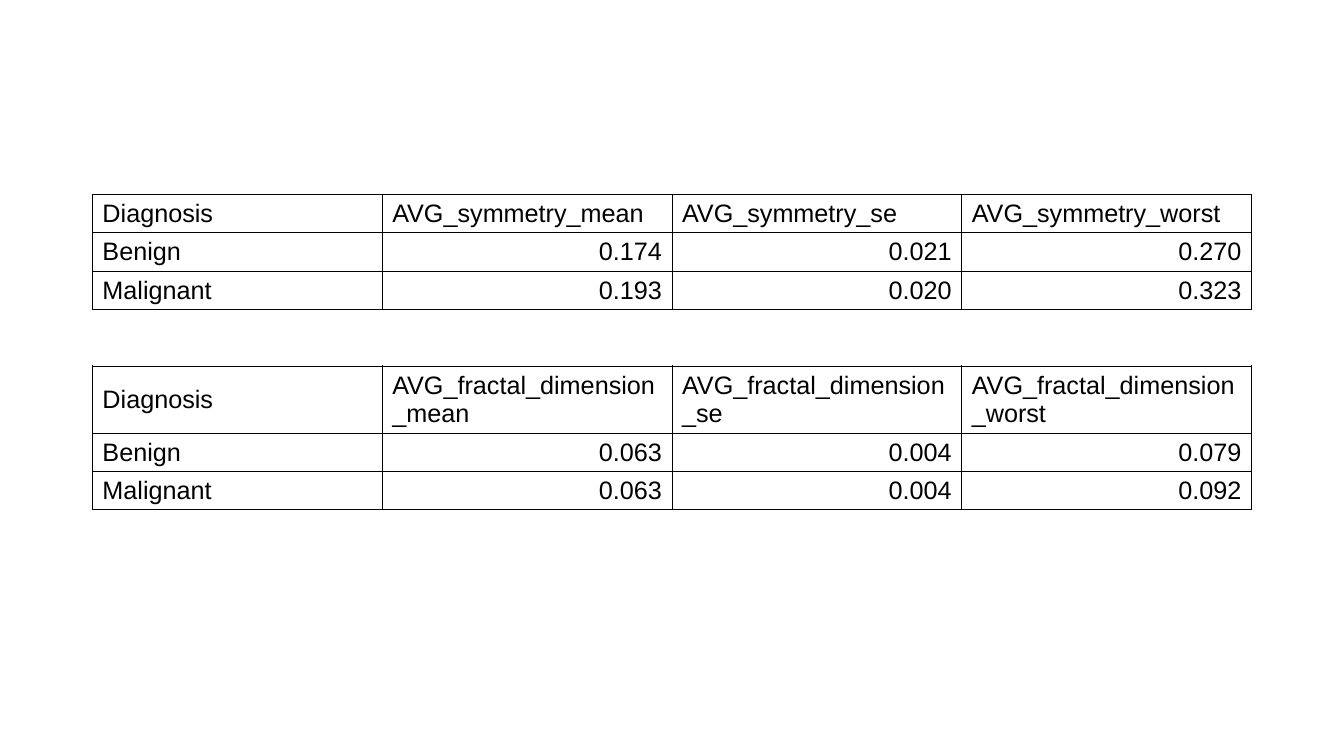
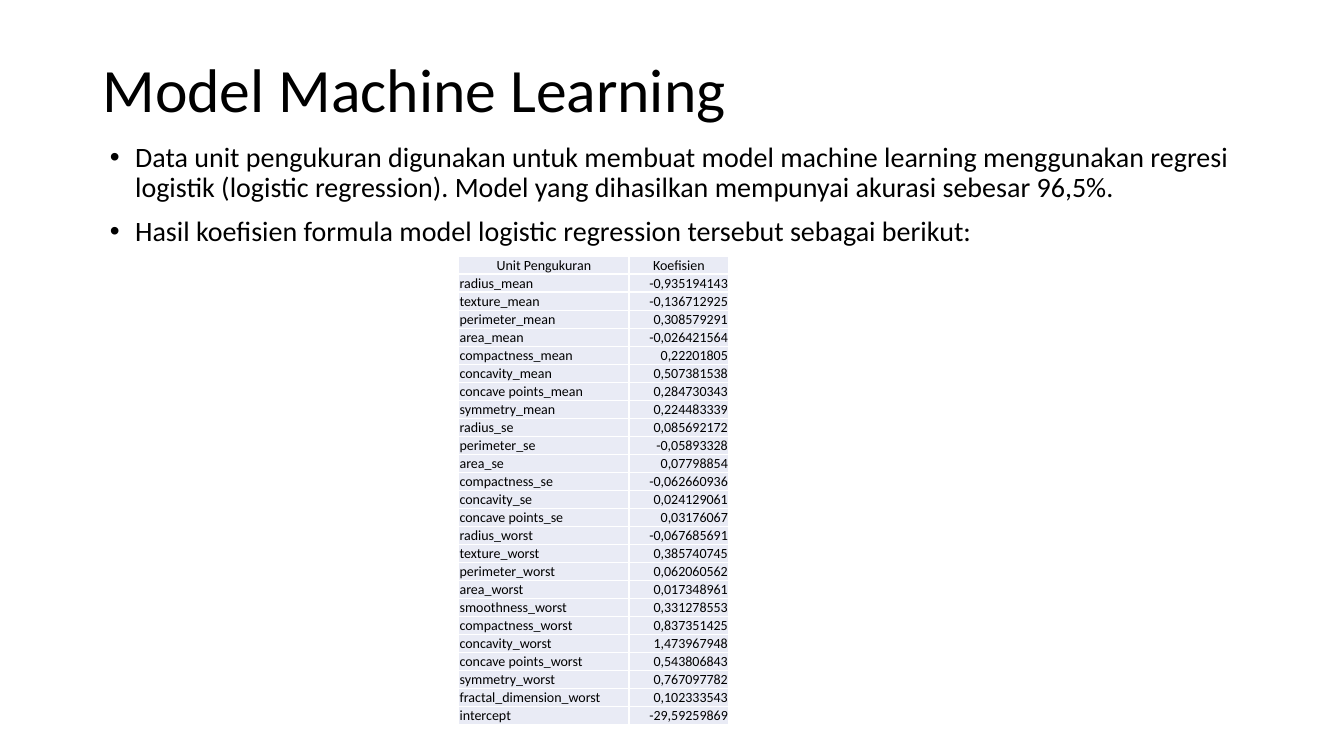
from lxml.etree import SubElement
from pptx import Presentation
from pptx.dml.color import RGBColor
from pptx.enum.text import MSO_ANCHOR as Anchor, MSO_AUTO_SIZE as AutoSize, PP_ALIGN as Align
from pptx.oxml.ns import qn
from pptx.util import Inches, Pt

BLACK = RGBColor(0x00, 0x00, 0x00)
WHITE = RGBColor(0xFF, 0xFF, 0xFF)
LAVENDER = RGBColor(0xE9, 0xEB, 0xF5)

COLUMNS, ROWS = 160, 90
LEFT, CONTENT_WIDTH = 11, 138
LAYOUT_CONTENT, LAYOUT_BLANK = 1, 6

SYMMETRY = [
    ("Diagnosis", "AVG_symmetry_mean", "AVG_symmetry_se", "AVG_symmetry_worst"),
    ("Benign", "0.174", "0.021", "0.270"),
    ("Malignant", "0.193", "0.020", "0.323"),
]
FRACTAL = [
    ("Diagnosis", "AVG_fractal_dimension_mean", "AVG_fractal_dimension_se",
     "AVG_fractal_dimension_worst"),
    ("Benign", "0.063", "0.004", "0.079"),
    ("Malignant", "0.063", "0.004", "0.092"),
]
COEFFICIENTS = [
    ("Unit Pengukuran", "Koefisien"),
    ("radius_mean", "-0,935194143"),
    ("texture_mean", "-0,136712925"),
    ("perimeter_mean", "0,308579291"),
    ("area_mean", "-0,026421564"),
    ("compactness_mean", "0,22201805"),
    ("concavity_mean", "0,507381538"),
    ("concave points_mean", "0,284730343"),
    ("symmetry_mean", "0,224483339"),
    ("radius_se", "0,085692172"),
    ("perimeter_se", "-0,05893328"),
    ("area_se", "0,07798854"),
    ("compactness_se", "-0,062660936"),
    ("concavity_se", "0,024129061"),
    ("concave points_se", "0,03176067"),
    ("radius_worst", "-0,067685691"),
    ("texture_worst", "0,385740745"),
    ("perimeter_worst", "0,062060562"),
    ("area_worst", "0,017348961"),
    ("smoothness_worst", "0,331278553"),
    ("compactness_worst", "0,837351425"),
    ("concavity_worst", "1,473967948"),
    ("concave points_worst", "0,543806843"),
    ("symmetry_worst", "0,767097782"),
    ("fractal_dimension_worst", "0,102333543"),
    ("intercept", "-29,59259869"),
]


def set_borders(cell, color, width):
    properties = cell._tc.get_or_add_tcPr()
    for side in ("a:lnL", "a:lnR", "a:lnT", "a:lnB"):
        line = SubElement(properties, qn(side), w=str(Pt(width)))
        fill = SubElement(line, qn("a:solidFill"))
        SubElement(fill, qn("a:srgbClr"), val=str(color))


class Deck:
    """Holds the style and the current slide; lengths are in grid columns and rows."""

    def __init__(self):
        self.presentation = Presentation()
        self.presentation.slide_width = Inches(13.33)
        self.presentation.slide_height = Inches(7.5)
        self.slide = None

    def across(self, columns):
        return round(self.presentation.slide_width * columns / COLUMNS)

    def down(self, rows):
        return round(self.presentation.slide_height * rows / ROWS)

    def new_slide(self, layout):
        layouts = self.presentation.slide_layouts
        self.slide = self.presentation.slides.add_slide(layouts[layout])

    def style(self, paragraph, size, font="Calibri", align=Align.LEFT):
        paragraph.alignment = align
        paragraph.font.size = Pt(size)
        paragraph.font.name = font
        paragraph.font.color.rgb = BLACK

    def place(self, shape, left, top, width, height):
        shape.left, shape.top = self.across(left), self.down(top)
        shape.width, shape.height = self.across(width), self.down(height)
        shape.text_frame.auto_size = AutoSize.NONE

    def title(self, text):
        shape = self.slide.shapes.title
        self.place(shape, LEFT, 2.28, CONTENT_WIDTH, 17.4)
        shape.text_frame.text = text
        shape.text_frame.vertical_anchor = Anchor.MIDDLE
        paragraph = shape.text_frame.paragraphs[0]
        paragraph.line_spacing = 0.9
        self.style(paragraph, 44)

    def bullets(self, items):
        shape = self.slide.placeholders[1]
        self.place(shape, 11.88, 16.44, CONTENT_WIDTH, 57.12)
        shape.text_frame.text = "\n".join(items)
        for paragraph in shape.text_frame.paragraphs:
            paragraph.line_spacing = 0.9
            paragraph.space_before = Pt(10)
            self.style(paragraph, 20)
            properties = paragraph._p.get_or_add_pPr()
            properties.set("marL", str(Inches(0.25)))
            properties.set("indent", str(-Inches(0.25)))

    def table(self, data, left, top, widths, heights, format_cell):
        """Draw data, letting format_cell(cell, row, column) style each cell."""
        frame = self.slide.shapes.add_table(
            len(data), len(widths), self.across(left), self.down(top),
            self.across(sum(widths)), self.down(sum(heights)))
        table = frame.table
        table.first_row = table.horz_banding = False
        for column, width in zip(table.columns, widths):
            column.width = self.across(width)
        for row, height in zip(table.rows, heights):
            row.height = self.down(height)
        for row, values in enumerate(data):
            for column, value in enumerate(values):
                cell = table.cell(row, column)
                cell.text = value
                format_cell(cell, row, column)

    def average_table(self, data, top, header_height):
        def format_cell(cell, row, column):
            set_borders(cell, BLACK, 0.61)
            cell.fill.background()
            cell.vertical_anchor = Anchor.MIDDLE
            align = Align.RIGHT if row and column else Align.LEFT
            self.style(cell.text_frame.paragraphs[0], 18, "Arial", align)

        count = len(data[0])
        self.table(data, LEFT, top, [CONTENT_WIDTH / count] * count,
                   [header_height] + [4.56] * (len(data) - 1), format_cell)

    def coefficient_table(self, data):
        def format_cell(cell, row, column):
            set_borders(cell, WHITE, 1)
            cell.fill.solid()
            cell.fill.fore_color.rgb = LAVENDER
            cell.margin_left = cell.margin_right = cell.margin_top = Inches(0.01)
            cell.margin_bottom = 0
            cell.vertical_anchor = Anchor.BOTTOM if row else Anchor.TOP
            align = (Align.LEFT, Align.RIGHT)[column] if row else Align.CENTER
            self.style(cell.text_frame.paragraphs[0], 10, align=align)

        self.table(data, 54.6, 30.48, [20.28, 11.88],
                   [54.36 / len(data)] * len(data), format_cell)


def main():
    deck = Deck()

    deck.new_slide(LAYOUT_BLANK)
    deck.average_table(SYMMETRY, top=23.16, header_height=4.56)
    deck.average_table(FRACTAL, top=43.56, header_height=8)

    deck.new_slide(LAYOUT_CONTENT)
    deck.title("Model Machine Learning")
    deck.bullets([
        "Data unit pengukuran digunakan untuk membuat model machine learning "
        "menggunakan regresi logistik (logistic regression). Model yang dihasilkan "
        "mempunyai akurasi sebesar 96,5%.",
        "Hasil koefisien formula model logistic regression tersebut sebagai berikut:",
    ])
    deck.coefficient_table(COEFFICIENTS)

    deck.presentation.save("out.pptx")


if __name__ == "__main__":
    main()
